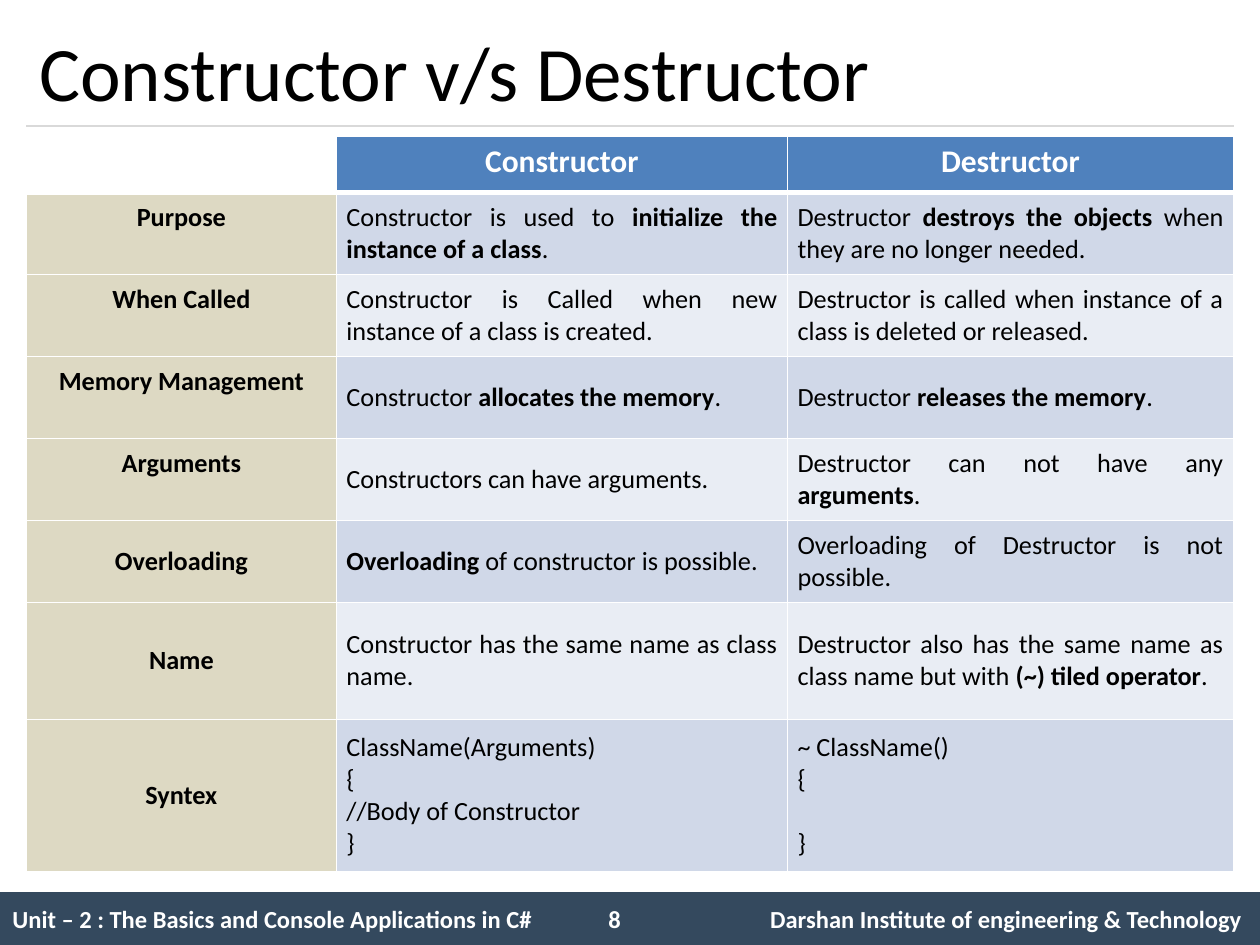
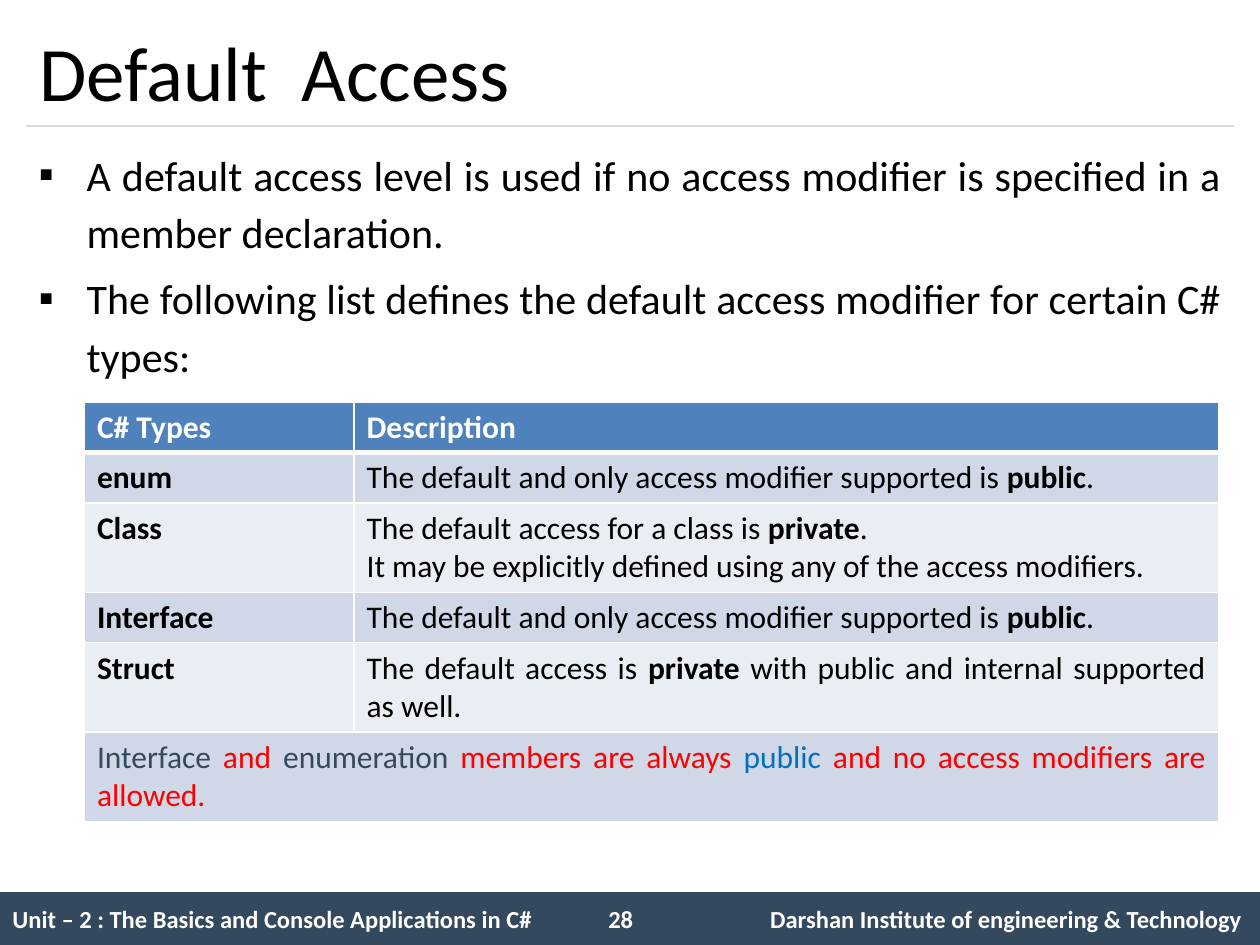
from dataclasses import dataclass
from typing import NamedTuple, Optional

from lxml import etree
from pptx import Presentation
from pptx.dml.color import RGBColor
from pptx.enum import shapes, text
from pptx.oxml.ns import qn
from pptx.util import Inches, Pt

FONT = "Calibri"
WHITE = RGBColor(0xFF, 0xFF, 0xFF)
BLACK = RGBColor(0, 0, 0)
NAVY = RGBColor(0x34, 0x49, 0x5E)
RULE = RGBColor(0xD9, 0xD9, 0xD9)
HEAD = RGBColor(0x4F, 0x81, 0xBD)
TAN = RGBColor(0xDD, 0xD9, 0xC3)
BANDS = (RGBColor(0xD0, 0xD8, 0xE8), RGBColor(0xE9, 0xED, 0xF4))
RED = RGBColor(0xFF, 0, 0)
BLUE = RGBColor(0, 0x70, 0xC0)

LEFT = text.PP_ALIGN.LEFT
MID = text.PP_ALIGN.CENTER
FULL = text.PP_ALIGN.JUSTIFY
TOP = text.MSO_ANCHOR.TOP
CENTER = text.MSO_ANCHOR.MIDDLE

EDGE, WIDE = 0.21, 9.58
UNIT = "Unit – 2 : The Basics and Console Applications in C#"
SCHOOL = "Darshan Institute of engineering & Technology"


class Run(NamedTuple):
    text: str
    bold: bool = False
    color: RGBColor = BLACK


class Pad(NamedTuple):
    side: float = 0.1
    edge: float = 0.05


class Row(NamedTuple):
    label: str
    first: str
    second: str
    height: float = 0.65
    anchor: text.MSO_ANCHOR = CENTER


class Kind(NamedTuple):
    name: str
    notes: list[str]
    height: float


@dataclass
class Cell:
    lines: list[list[Run]]
    fill: RGBColor
    align: text.PP_ALIGN = LEFT
    size: float = 18
    anchor: text.MSO_ANCHOR = TOP
    pad: Pad = Pad()
    base: float = 1
    gap: Optional[float] = None


def mark(line: str) -> list[Run]:
    """Split a line into runs; words between asterisks are bold."""
    return [Run(part, n % 2 == 1) for n, part in enumerate(line.split("*")) if part]


def write(para, runs: list[Run], size: float, align=LEFT) -> None:
    para.alignment = align
    for item in runs:
        run = para.add_run()
        run.text = item.text
        font = run.font
        font.name, font.size, font.bold = FONT, Pt(size), item.bold
        font.color.rgb = item.color


def next_para(frame, index: int):
    return frame.paragraphs[0] if index == 0 else frame.add_paragraph()


def add_tabs(para, stops: list[tuple[float, str]]) -> None:
    tabs = etree.SubElement(para._p.get_or_add_pPr(), qn("a:tabLst"))
    for pos, side in stops:
        etree.SubElement(tabs, qn("a:tab"), pos=str(Inches(pos)), algn=side)


def add_bullet(para, char: str, indent: float) -> None:
    props = para._p.get_or_add_pPr()
    props.set("marL", str(Inches(indent)))
    props.set("indent", str(-Inches(indent)))
    etree.SubElement(props, qn("a:buFont"), typeface=FONT)
    etree.SubElement(props, qn("a:buChar"), char=char)


def add_edges(cell, base: float) -> None:
    """Draw white borders, the lower one as wide as base."""
    props = cell._tc.get_or_add_tcPr()
    for side, width in (("L", 1), ("R", 1), ("T", 1), ("B", base)):
        line = etree.SubElement(props, qn(f"a:ln{side}"), w=str(Pt(width)))
        fill = etree.SubElement(line, qn("a:solidFill"))
        etree.SubElement(fill, qn("a:srgbClr"), val=str(WHITE))


def add_grid(slide, left: float, top: float, widths: list[float],
             heights: list[float], rows: list[list[Cell]]) -> None:
    """Add a table; a row with too few cells merges its last one to the right."""
    frame = slide.shapes.add_table(
        len(rows), len(widths), Inches(left), Inches(top),
        Inches(sum(widths)), Inches(sum(heights)))
    table = frame.table
    for col, width in zip(table.columns, widths):
        col.width = Inches(width)
    for r, (row, height) in enumerate(zip(rows, heights)):
        table.rows[r].height = Inches(height)
        if len(row) < len(widths):
            table.cell(r, len(row) - 1).merge(table.cell(r, len(widths) - 1))
        for c, data in enumerate(row):
            fill_cell(table.cell(r, c), data)


def fill_cell(cell, data: Cell) -> None:
    add_edges(cell, data.base)
    cell.fill.solid()
    cell.fill.fore_color.rgb = data.fill
    cell.vertical_anchor = data.anchor
    cell.margin_left = cell.margin_right = Inches(data.pad.side)
    cell.margin_top = cell.margin_bottom = Inches(data.pad.edge)
    for n, runs in enumerate(data.lines):
        para = next_para(cell.text_frame, n)
        write(para, runs, data.size, data.align)
    if data.gap:
        para.space_before = Pt(data.gap)


def head_cell(name: str, align=LEFT) -> Cell:
    return Cell([[Run(name, True, WHITE)]], HEAD, align, base=3)


def start(deck, title: str, number: int):
    """Add a slide with its title, rule and footer."""
    slide = deck.slides.add_slide(deck.slide_layouts[5])
    bar = slide.shapes.add_shape(
        shapes.MSO_SHAPE.RECTANGLE, 0, Inches(7.08), Inches(10), Inches(0.42))
    bar.shadow.inherit = False
    bar.fill.solid()
    bar.fill.fore_color.rgb = NAVY
    bar.line.fill.background()
    bar.text_frame.vertical_anchor = CENTER
    para = bar.text_frame.paragraphs[0]
    add_tabs(para, [(4.73, "l"), (9.76, "r")])
    write(para, [Run(f"{UNIT}\t{number}\t{SCHOOL}", True, WHITE)], 14)

    rule = slide.shapes.add_connector(
        shapes.MSO_CONNECTOR.STRAIGHT, Inches(EDGE), Inches(1),
        Inches(EDGE + WIDE), Inches(1))
    rule.line.color.rgb = RULE
    rule.line.width = Pt(0.75)
    etree.SubElement(rule._element.spPr, qn("a:effectLst"))

    head = slide.shapes.title
    head.left, head.top = Inches(EDGE), Inches(0.12)
    head.width, head.height = Inches(WIDE), Inches(0.88)
    head.text_frame.vertical_anchor = CENTER
    write(head.text_frame.paragraphs[0], [Run(title)], 44)
    return slide


def compare(deck) -> None:
    slide = start(deck, "Constructor v/s Destructor", 8)
    pad = Pad(0.08, 0.04)
    facts = [
        Row("Purpose",
            "Constructor is used to *initialize the instance of a class*.",
            "Destructor *destroys the objects* when they are no longer needed.",
            anchor=TOP),
        Row("When Called",
            "Constructor is Called when new instance of a class is created.",
            "Destructor is called when instance of a class is deleted or released.",
            anchor=TOP),
        Row("Memory Management",
            "Constructor *allocates the memory*.",
            "Destructor *releases the memory*.", anchor=TOP),
        Row("Arguments",
            "Constructors can have arguments.",
            "Destructor can not have any *arguments*.", anchor=TOP),
        Row("Overloading",
            "*Overloading* of constructor is possible.",
            "Overloading of Destructor is not possible."),
        Row("Name",
            "Constructor has the same name as class name.",
            "Destructor also has the same name as class name but with "
            "*(~) tiled operator*.", 0.93),
        Row("Syntex",
            "ClassName(Arguments)\n{\n//Body of Constructor\n}",
            "~ ClassName()\n{\n}", 1.21),
    ]
    rows = [[Cell([], WHITE, base=3), head_cell("Constructor", MID),
             head_cell("Destructor", MID)]]
    for n, fact in enumerate(facts):
        inset = Pad(0.08, 0.07) if fact.anchor == TOP else pad
        row = [Cell([[Run(fact.label, True)]], TAN, MID, 15, fact.anchor, inset)]
        for words in (fact.first, fact.second):
            lines = [mark(line) for line in words.split("\n")]
            align = LEFT if len(lines) > 1 else FULL
            gap = 18.3 if len(lines) == 3 else None
            row.append(Cell(lines, BANDS[n % 2], align, 15, CENTER, pad, gap=gap))
        rows.append(row)
    add_grid(slide, EDGE, 1.08, [2.46, 3.58, 3.54],
             [0.45] + [fact.height for fact in facts], rows)


def access(deck) -> None:
    slide = start(deck, "Default  Access", 28)
    points = [
        "A default access level is used if no access modifier is specified in a "
        "member declaration.",
        "The following list defines the default access modifier for certain C# types:",
    ]
    box = slide.shapes.add_textbox(
        Inches(EDGE), Inches(1.08), Inches(WIDE), Inches(2.05))
    box.text_frame.word_wrap = True
    for n, point in enumerate(points):
        para = next_para(box.text_frame, n)
        add_bullet(para, "▪", 0.38)
        para.line_spacing = 1.14
        if n:
            para.space_before = Pt(4.8)
        write(para, mark(point), 24, FULL)

    only = "The default and only access modifier supported is *public*."
    kinds = [
        Kind("enum", [only], 0.4),
        Kind("Class", [
            "The default access for a class is *private*.",
            "It may be explicitly defined using any of the access modifiers."], 0.71),
        Kind("Interface", [only], 0.4),
        Kind("Struct", [
            "The default access is *private* with public and internal "
            "supported as well."], 0.71),
    ]
    rows = [[head_cell("C# Types"), head_cell("Description")]]
    for n, kind in enumerate(kinds):
        band = BANDS[n % 2]
        rows.append([Cell([[Run(kind.name, True)]], band),
                     Cell([mark(note) for note in kind.notes], band, FULL)])
    rule = [
        Run("Interface", color=NAVY), Run(" and ", color=RED),
        Run("enumeration", color=NAVY), Run(" members are always ", color=RED),
        Run("public", color=BLUE),
        Run(" and no access modifiers are allowed.", color=RED),
    ]
    rows.append([Cell([rule], BANDS[0], FULL)])
    add_grid(slide, 0.67, 3.19, [2.14, 6.86],
             [0.4] + [kind.height for kind in kinds] + [0.71], rows)


def main() -> None:
    deck = Presentation()
    deck.slide_width, deck.slide_height = Inches(10), Inches(7.5)
    compare(deck)
    access(deck)
    deck.save("out.pptx")


if __name__ == "__main__":
    main()
